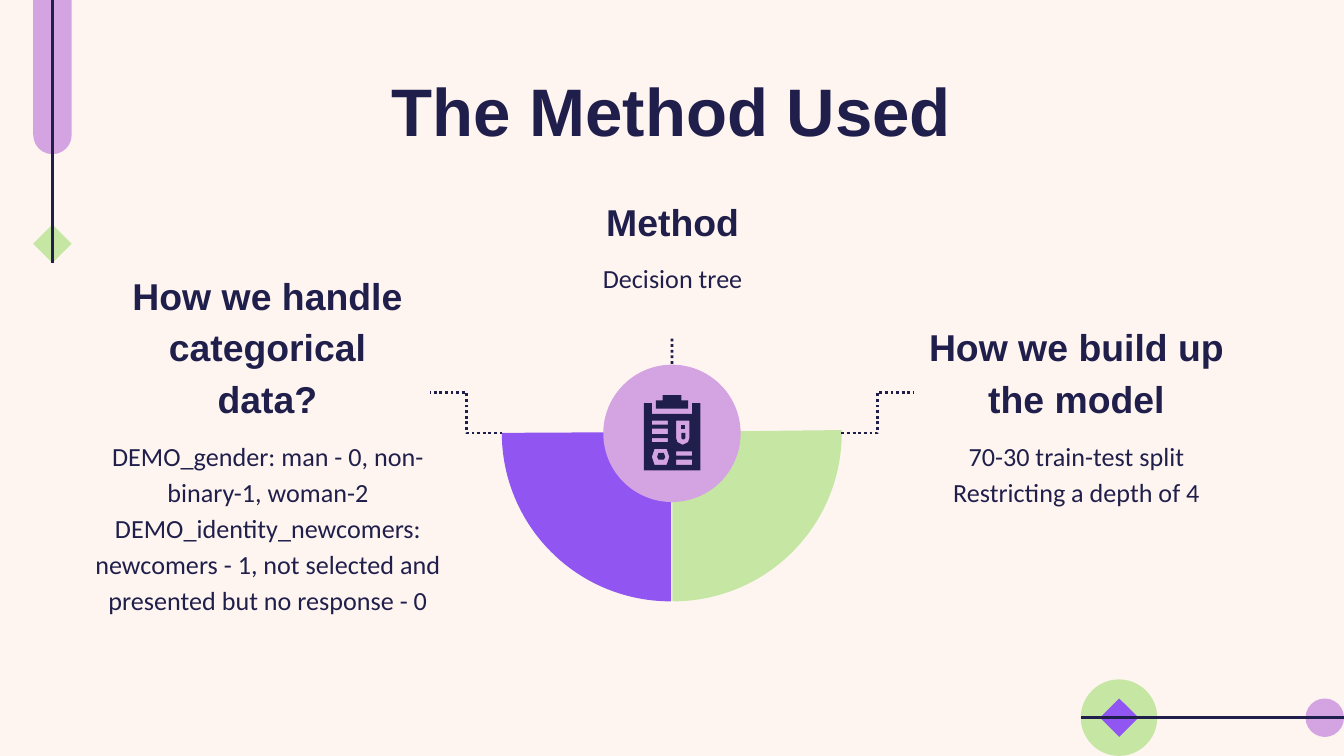
"""Build the slide "The Method Used" with a half-circle diagram and three text blocks."""
import pptx
import pptx.dml.color
import pptx.enum.dml
import pptx.enum.shapes
import pptx.enum.text
import pptx.oxml
import pptx.util

Pt = pptx.util.Pt
RGBColor = pptx.dml.color.RGBColor
MSO_SHAPE = pptx.enum.shapes.MSO_SHAPE
MSO_CONNECTOR = pptx.enum.shapes.MSO_CONNECTOR
MSO_ANCHOR = pptx.enum.text.MSO_ANCHOR
COLORS = {
    "background": "FEF5F0",
    "navy": "201F4B",
    "green": "C6E6A3",
    "violet": "9156F1",
    "lilac": "D4A4E2",
}
COLORS = {name: RGBColor.from_string(value) for name, value in COLORS.items()}

presentation = pptx.Presentation()
presentation.slide_width, presentation.slide_height = Pt(720), Pt(405)
slide = presentation.slides.add_slide(presentation.slide_layouts[5])
slide.background.fill.solid()
slide.background.fill.fore_color.rgb = COLORS["background"]


def paint(shape, color):
    shape.shadow.inherit = False
    shape.fill.solid()
    shape.fill.fore_color.rgb = COLORS[color]
    shape.line.fill.background()


def write(shape, box, lines, font, size, bold, anchor, spacing):
    shape.left, shape.top, shape.width, shape.height = [Pt(value) for value in box]
    frame = shape.text_frame
    frame.text = "\n".join(lines)
    frame.word_wrap = True
    frame.auto_size = pptx.enum.text.MSO_AUTO_SIZE.NONE
    frame.vertical_anchor = anchor
    frame.margin_left = frame.margin_right = Pt(7.2)
    frame.margin_top = frame.margin_bottom = Pt(7.2)
    for paragraph in frame.paragraphs:
        paragraph.alignment = pptx.enum.text.PP_ALIGN.CENTER
        paragraph.line_spacing = spacing
        paragraph.space_before = Pt(0)
        paragraph.font.name = font
        paragraph.font.size = Pt(size)
        paragraph.font.bold = bold
        paragraph.font.color.rgb = COLORS["navy"]


write(slide.shapes.title, (56.2, 30.2, 607, 45.4), ["The Method Used"],
      "Arial", 36, True, MSO_ANCHOR.TOP, 1.0)

headings = [
    ((277.2, 95, 166.3, 43.9), "Method", MSO_ANCHOR.MIDDLE),
    ((489.6, 188.6, 174.2, 43.9), "How we build up the model", MSO_ANCHOR.BOTTOM),
    ((56.2, 188.6, 174.2, 43.9), "How we handle categorical data?", MSO_ANCHOR.BOTTOM),
]
for box, text, anchor in headings:
    textbox = slide.shapes.add_textbox(0, 0, 0, 0)
    write(textbox, box, [text], "Arial", 20, True, anchor, 1.15)

details = [
    ((277.2, 133.2, 166.3, 48.2), ["Decision tree"], 1.0),
    ((489.6, 226.1, 174.2, 109.4),
     ["70-30 train-test split", "Restricting a depth of 4"], 1.15),
    ((43.9, 226.1, 199.4, 109.4),
     ["DEMO_gender: man - 0, non-binary-1, woman-2",
      "DEMO_identity_newcomers: newcomers - 1, not selected and presented but no response - 0"],
     1.15),
]
for box, lines, spacing in details:
    textbox = slide.shapes.add_textbox(0, 0, 0, 0)
    write(textbox, box, lines, "Calibri", 14, False, MSO_ANCHOR.TOP, spacing)

pies = [(270.6, "green", 107.61, False), (269.2, "violet", 108.18, True)]
for left, color, start_angle, flipped in pies:
    pie = slide.shapes.add_shape(MSO_SHAPE.PIE, Pt(left), Pt(141.8), Pt(180), Pt(180))
    paint(pie, color)
    pie.line.color.rgb = COLORS[color]
    pie.line.width = Pt(0.75)
    pie.adjustments[0] = start_angle
    pie.adjustments[1] = 162
    pie.rotation = 180
    if flipped:
        pie._element.spPr.xfrm.set("flipH", "1")

ornaments = [
    (MSO_SHAPE.OVAL, 579, 364, 41, 41, "green"),
    (MSO_SHAPE.DIAMOND, 589.3, 374.2, 20.6, 20.6, "violet"),
    (MSO_SHAPE.OVAL, 699.4, 374.2, 20.6, 20.6, "lilac"),
    (MSO_SHAPE.ROUNDED_RECTANGLE, 17.8, -14.6, 20.6, 97.2, "lilac"),
    (MSO_SHAPE.DIAMOND, 17.8, 120.3, 20.6, 20.6, "green"),
    (MSO_SHAPE.OVAL, 323.2, 195.4, 73.6, 73.6, "lilac"),
]
for kind, left, top, width, height, color in ornaments:
    shape = slide.shapes.add_shape(kind, Pt(left), Pt(top), Pt(width), Pt(height))
    paint(shape, color)
    if kind == MSO_SHAPE.ROUNDED_RECTANGLE:
        shape.adjustments[0] = 0.5
hub = shape

lines = [
    (MSO_CONNECTOR.STRAIGHT, 579, 384.5, 720, 384.5, False),
    (MSO_CONNECTOR.STRAIGHT, 28.1, 0, 28.1, 141, False),
    (MSO_CONNECTOR.ELBOW, 269.2, 232, 230.4, 210.2, True),
    (MSO_CONNECTOR.ELBOW, 450.8, 232, 489.6, 210.2, True),
    (MSO_CONNECTOR.STRAIGHT, 360, 181.4, 360, 195.4, True),
]
for kind, start_x, start_y, end_x, end_y, dotted in lines:
    connector = slide.shapes.add_connector(kind, Pt(start_x), Pt(start_y), Pt(end_x), Pt(end_y))
    connector.line.color.rgb = COLORS["navy"]
    connector.line.width = Pt(1.5)
    if dotted:
        connector.line.dash_style = pptx.enum.dml.MSO_LINE.ROUND_DOT
    connector._element.spPr.append(pptx.oxml.parse_xml(
        '<a:effectLst xmlns:a="http://schemas.openxmlformats.org/drawingml/2006/main"/>'))
connector.end_connect(hub, 0)

bars = [(485, 313, 497, 316), (485, 319, 497, 323), (485, 326, 497, 329),
        (503, 342, 515, 346), (503, 336, 515, 339)]
board = [
    [(515, 300), (515, 308), (485, 308), (485, 300), (479, 300), (479, 350), (521, 350), (521, 300)],
    [(503, 313), (513, 313), (513, 326), (512, 329), (510, 330), (508, 331), (506, 330),
     (504, 329), (503, 326)],
    [(496, 346), (487, 346), (485, 340), (487, 334), (496, 334), (498, 340)],
]
board += [[(left, top), (right, top), (right, bottom), (left, bottom)]
          for left, top, right, bottom in bars]
clipboard_parts = [
    board,
    [[(507, 322), (510, 322), (510, 326), (509, 327), (508, 327), (507, 326)]],
    [[(507, 316), (510, 316), (510, 319), (507, 319)]],
    [[(490, 337), (489, 340), (490, 342), (494, 342), (495, 340), (494, 337)]],
    [[(512, 298), (507, 298), (507, 294), (493, 294), (493, 298), (488, 298), (488, 304), (512, 304)]],
]
for outlines in clipboard_parts:
    builder = slide.shapes.build_freeform(*outlines[0][0], scale=Pt(0.72))
    for outline in outlines:
        if outline is not outlines[0]:
            builder.move_to(*outline[0])
        builder.add_line_segments(outline[1:], close=True)
    paint(builder.convert_to_shape(), "navy")

presentation.save("out.pptx")
